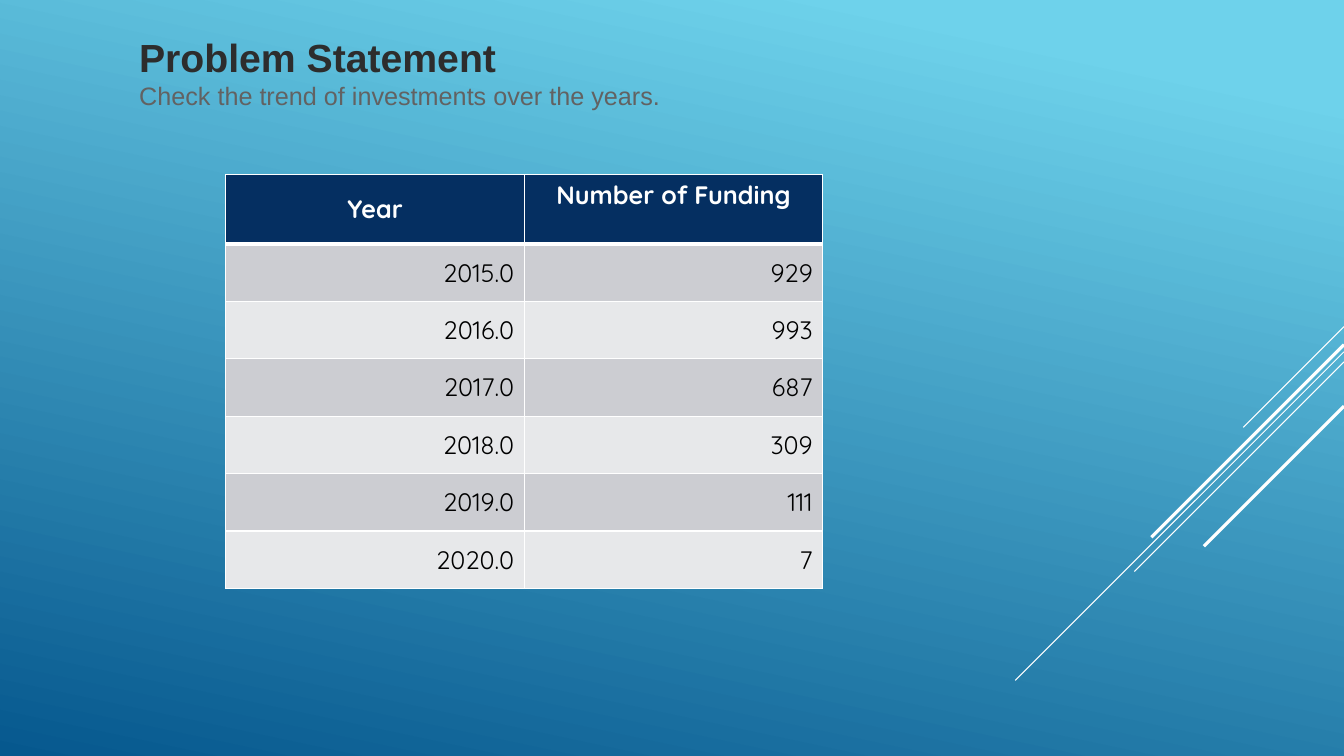
from pptx import Presentation
from pptx.dml.color import RGBColor
from pptx.enum.shapes import MSO_CONNECTOR
from pptx.enum.text import MSO_ANCHOR, MSO_AUTO_SIZE, PP_ALIGN
from pptx.oxml.ns import qn
from pptx.util import Inches, Pt
from lxml.etree import SubElement

WHITE = RGBColor(0xFF, 0xFF, 0xFF)
BLACK = RGBColor(0x00, 0x00, 0x00)
NAVY = RGBColor(0x05, 0x2F, 0x61)
SKY = RGBColor(0x6E, 0xD2, 0xEB)
OCEAN = RGBColor(0x06, 0x58, 0x8E)
CHARCOAL = RGBColor(0x2D, 0x2D, 0x2D)
GREY = RGBColor(0x62, 0x62, 0x62)
BANDS = (RGBColor(0xCC, 0xCD, 0xD2), RGBColor(0xE7, 0xE8, 0xEA))

SLIDE_WIDTH, SLIDE_HEIGHT = 13.33, 7.5
HEADINGS = ("Year", "Number of Funding")
FUNDING = (
    ("2015.0", "929"),
    ("2016.0", "993"),
    ("2017.0", "687"),
    ("2018.0", "309"),
    ("2019.0", "111"),
    ("2020.0", "7"),
)
DIAGONALS = ((3.24, 1.0, 0.75), (3.49, 3.26, 0.75), (3.59, 2.08, 0.75),
             (3.42, 1.91, 2.25), (4.03, 1.39, 2.25))


class SlideBuilder:
    title_font = "Arial"
    table_font = "Quicksand"

    def __init__(self, deck):
        self.page = deck.slides.add_slide(deck.slide_layouts[5])

    def background(self, start, end, angle):
        fill = self.page.background.fill
        fill.gradient()
        fill.gradient_angle = 360 - angle
        for stop, (position, color) in zip(fill.gradient_stops, (start, end)):
            stop.position = position
            stop.color.rgb = color

    def add_text(self, para, text, align, color, **formats):
        para.alignment = align
        span = para.add_run()
        span.text = text
        for name, value in formats.items():
            setattr(span.font, name, value)
        span.font.color.rgb = color

    def diagonal(self, top, reach, weight):
        line = self.page.shapes.add_connector(
            MSO_CONNECTOR.STRAIGHT, Inches(SLIDE_WIDTH), Inches(top),
            Inches(SLIDE_WIDTH - reach), Inches(top + reach))
        line.line.color.rgb = WHITE
        line.line.width = Pt(weight)
        SubElement(line._element.spPr, qn("a:effectLst"))

    def title(self, heading, subtitle, left, top, width, height):
        box = self.page.shapes.title
        place = {"left": left, "top": top, "width": width, "height": height}
        for name, value in place.items():
            setattr(box, name, Inches(value))
        frame = box.text_frame
        layout = {"word_wrap": True, "auto_size": MSO_AUTO_SIZE.NONE,
                  "vertical_anchor": MSO_ANCHOR.MIDDLE}
        for name, value in layout.items():
            setattr(frame, name, value)
        self.add_text(frame.paragraphs[0], heading, PP_ALIGN.LEFT, CHARCOAL,
                      name=self.title_font, size=Pt(28), bold=True)
        self.add_text(frame.add_paragraph(), subtitle, PP_ALIGN.LEFT, GREY,
                      name=self.title_font, size=Pt(18), bold=False)

    def borders(self, cell, weights):
        properties = cell._tc.get_or_add_tcPr()
        for side, weight in weights.items():
            edge = SubElement(properties, qn(f"a:ln{side}"), w=str(Pt(weight)))
            SubElement(SubElement(edge, qn("a:solidFill")), qn("a:srgbClr"), val=str(WHITE))

    def cell(self, cell, text, fill, color, align, anchor, bold, weights):
        self.borders(cell, weights)
        cell.fill.solid()
        cell.fill.fore_color.rgb = fill
        cell.vertical_anchor = anchor
        self.add_text(cell.text_frame.paragraphs[0], text, align, color,
                      name=self.table_font, size=Pt(18), bold=bold)

    def table(self, headings, records, left, top, column_width, header_height, row_height):
        table = self.page.shapes.add_table(
            len(records) + 1, len(headings), Inches(left), Inches(top),
            Inches(column_width * len(headings)),
            Inches(header_height + row_height * len(records))).table
        for column in table.columns:
            column.width = Inches(column_width)
        for row in table.rows:
            row.height = Inches(row_height)
        table.rows[0].height = Inches(header_height)

        thin = dict.fromkeys("LRTB", 1)
        anchors = (MSO_ANCHOR.MIDDLE, MSO_ANCHOR.TOP)
        for index, (heading, anchor) in enumerate(zip(headings, anchors)):
            self.cell(table.cell(0, index), heading, NAVY, WHITE, PP_ALIGN.CENTER,
                      anchor, True, {**thin, "B": 3})
        for number, record in enumerate(records, 1):
            weights = {**thin, "T": 3} if number == 1 else thin
            for index, value in enumerate(record):
                self.cell(table.cell(number, index), value, BANDS[(number - 1) % 2], BLACK,
                          PP_ALIGN.RIGHT, MSO_ANCHOR.MIDDLE, False, weights)


def main():
    deck = Presentation()
    deck.slide_width = Inches(SLIDE_WIDTH)
    deck.slide_height = Inches(SLIDE_HEIGHT)
    builder = SlideBuilder(deck)
    builder.background((0.1, SKY), (1.0, OCEAN), 102)
    for top, reach, weight in DIAGONALS:
        builder.diagonal(top, reach, weight)
    builder.title("Problem Statement", "Check the trend of investments over the years.",
                  1.28, 0.27, 8.72, 0.88)
    builder.table(HEADINGS, FUNDING, 2.24, 1.73, 2.96, 0.69, 0.57)
    deck.save("out.pptx")


if __name__ == "__main__":
    main()
